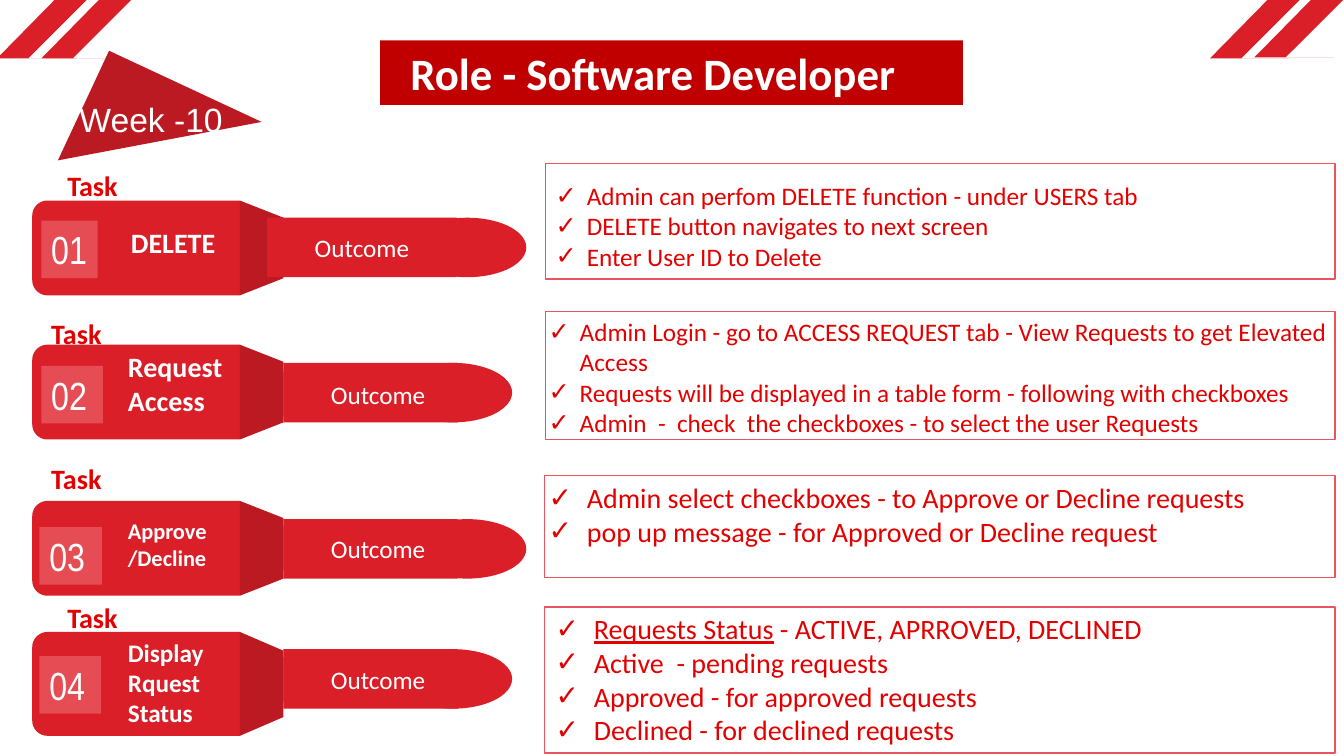
"""Build the weekly task and outcome slide for the software developer role."""
import math

from lxml import etree
from pptx import Presentation
from pptx.dml.color import RGBColor
from pptx.enum.shapes import MSO_SHAPE
from pptx.enum.text import MSO_ANCHOR, MSO_AUTO_SIZE, PP_ALIGN
from pptx.oxml.ns import qn
from pptx.util import Inches, Pt

RECTANGLE, OVAL, TRIANGLE = MSO_SHAPE.RECTANGLE, MSO_SHAPE.OVAL, MSO_SHAPE.RIGHT_TRIANGLE
TOP, MIDDLE = MSO_ANCHOR.TOP, MSO_ANCHOR.MIDDLE
LEFT, CENTER = PP_ALIGN.LEFT, PP_ALIGN.CENTER
NO_AUTOFIT = MSO_AUTO_SIZE.NONE
COMPARISON_LAYOUT = 4

COLOURS = {
    "red": "DA1F28",
    "dark red": "BC1A22",
    "light red": "E64C53",
    "banner": "C00000",
    "text red": "E30000",
    "outline": "E7555F",
    "white": "FFFFFF",
}

TASKS = [
    {"number": "01", "name": "DELETE", "name_at": (1.2, 2.19, 1.07, 0.44), "name_size": 20,
     "top": 1.99, "height": 0.94, "bar": (2.65, 2.16, 1.88, 0.59), "label_top": None,
     "tip_left": 4.05, "number_at": (0.41, 2.19, 0.56, 0.57), "heading_at": (0.57, 1.62)},
    {"number": "02", "name": "Request Access", "name_at": (1.17, 3.42, 1.28, 0.77), "name_size": 20,
     "top": 3.42, "height": 0.94, "bar": (2.81, 3.6, 1.73, 0.59), "label_top": 3.69,
     "tip_left": 3.91, "number_at": (0.41, 3.63, 0.61, 0.57), "heading_at": (0.41, 3.09)},
    {"number": "03", "name": "Approve/Decline", "name_at": (1.17, 5.08, 1.07, 0.64), "name_size": 16,
     "top": 4.97, "height": 0.94, "bar": (2.81, 5.15, 1.73, 0.59), "label_top": 5.22,
     "tip_left": 4.05, "number_at": (0.39, 5.23, 0.62, 0.57), "heading_at": (0.41, 4.53)},
    {"number": "04", "name": "Display Rquest Status", "name_at": (1.17, 6.27, 1.07, 1.01), "name_size": 18,
     "top": 6.27, "height": 1.03, "bar": (2.81, 6.44, 1.73, 0.59), "label_top": 6.52,
     "tip_left": 3.91, "number_at": (0.39, 6.51, 0.61, 0.57), "heading_at": (0.57, 5.91)},
]

OUTCOMES = [
    {"text_at": (5.41, 1.74, 7.54, 1.01), "frame_at": (5.41, 1.62, 7.83, 1.15), "size": 18, "indent": 0.31,
     "items": ["Admin can perfom DELETE function - under USERS tab",
               "DELETE button navigates to next screen",
               "Enter User ID to Delete"]},
    {"text_at": (5.34, 3.09, 7.99, 1.55), "frame_at": (5.41, 3.09, 7.83, 1.27), "size": 18, "indent": 0.31,
     "items": ["Admin Login - go to ACCESS REQUEST tab - View Requests to get Elevated Access",
               "Requests will be displayed in a table form - following with checkboxes",
               "Admin  -  check  the checkboxes - to select the user Requests"]},
    {"text_at": (5.34, 4.72, 7.51, 1.45), "frame_at": (5.4, 4.72, 7.84, 1.01), "size": 20, "indent": 0.38,
     "items": ["Admin select checkboxes - to Approve or Decline requests",
               "pop up message - for Approved or Decline request"]},
    {"text_at": (5.41, 6.02, 7.54, 1.45), "frame_at": (5.4, 6.02, 7.84, 1.45), "size": 20, "indent": 0.38,
     "underlined": "Requests Status",
     "items": ["Requests Status - ACTIVE, APRROVED, DECLINED",
               "Active  - pending requests",
               "Approved - for approved requests",
               "Declined - for declined requests"]},
]


class SlideBuilder:
    """Hold the slide and its style, and add each kind of element."""

    def __init__(self, deck):
        self.slide = deck.slides.add_slide(deck.slide_layouts[COMPARISON_LAYOUT])
        self.shapes = self.slide.shapes

    def colour(self, name):
        """Return the named colour."""
        return RGBColor.from_string(COLOURS[name])

    def place(self, box, at):
        """Move and resize a box."""
        box.left, box.top, box.width, box.height = (Inches(value) for value in at)

    def paint(self, shape, fill=None, line=None):
        """Set fill and outline, without a shadow."""
        shape.shadow.inherit = False
        if fill:
            shape.fill.solid()
            shape.fill.fore_color.rgb = self.colour(fill)
        else:
            shape.fill.background()
        if line:
            shape.line.color.rgb = self.colour(line)
            shape.line.width = Pt(1)
        else:
            shape.line.fill.background()
        return shape

    def style(self, para, size, colour="white", bold=False, font="Calibri", align=LEFT):
        """Format one paragraph."""
        para.alignment = align
        para.font.name = font
        para.font.size = Pt(size)
        para.font.bold = bold
        para.font.color.rgb = self.colour(colour)

    def caption(self, box, text, size, anchor=TOP, wrap=True, **style):
        """Put a single paragraph in a box."""
        frame = box.text_frame
        frame.auto_size = NO_AUTOFIT
        frame.word_wrap = wrap
        frame.vertical_anchor = anchor
        frame.text = text
        self.style(frame.paragraphs[0], size, **style)

    def shape(self, kind, at, fill=None, line=None):
        """Add a preset shape."""
        return self.paint(self.shapes.add_shape(kind, *(Inches(value) for value in at)), fill, line)

    def outline(self, points, fill):
        """Add a closed polygon."""
        corners = [(Inches(x), Inches(y)) for x, y in points]
        builder = self.shapes.build_freeform(*corners[0])
        builder.add_line_segments(corners[1:])
        return self.paint(builder.convert_to_shape(), fill)

    def text(self, at, text, size, **style):
        """Add a text box."""
        box = self.shapes.add_textbox(*(Inches(value) for value in at))
        self.caption(box, text, size, **style)

    def title(self, at, text):
        """Fill the title placeholder as a banner."""
        box = self.paint(self.shapes.title, "banner")
        self.place(box, at)
        self.caption(box, text, 32, anchor=MIDDLE, bold=True)
        box.text_frame.margin_left = Inches(0.3)

    def checklist(self, box, text_at, frame_at, size, indent, items, underlined=None):
        """Fill a body placeholder with ticked items and frame it."""
        self.place(box, text_at)
        frame = box.text_frame
        frame.auto_size = NO_AUTOFIT
        frame.vertical_anchor = TOP
        for index, item in enumerate(items):
            para = frame.add_paragraph() if index else frame.paragraphs[0]
            if underlined and item.startswith(underlined):
                span = para.add_run()
                span.text = underlined
                span.font.underline = True
                item = item[len(underlined):]
            para.add_run().text = item
            para.space_before = Pt(0)
            self.tick(para, indent)
            self.style(para, size, "text red")
        self.shape(RECTANGLE, frame_at, line="outline")

    def tick(self, para, indent):
        """Give a paragraph a hanging tick."""
        properties = para._p.get_or_add_pPr()
        properties.set("marL", str(Inches(indent)))
        properties.set("indent", str(-Inches(indent)))
        etree.SubElement(properties, qn("a:buFont"), typeface="Arial")
        etree.SubElement(properties, qn("a:buChar"), char="✓")

    def stripe(self, left, top):
        """Add a slanted corner stripe."""
        points = [(0.57, 0), (0.89, 0), (0.31, 0.58), (0.79, 0.58), (0, 0.58)]
        self.outline([(left + x, top + y) for x, y in points], "red")

    def flag(self):
        """Add the week flag."""
        pennant = self.shape(TRIANGLE, (0.75, 0.8, 1.67, 1.2), "dark red")
        pennant.rotation = 25
        pennant.element.spPr.find(qn("a:xfrm")).set("flipV", "1")
        self.text((0.69, 0.93, 1.87, 0.5), "Week -10", 24, font="Arial")

    def task(self, number, name, name_at, name_size, top, height, bar, label_top,
             tip_left, number_at, heading_at):
        """Add a task marker with its outcome arm."""
        left, right, neck, radius, slope = 0.32, 2.38, 2.81, 0.15, height * 0.18
        bottom = top + height
        body = [(right, top), (right, bottom)]
        for centre, start in ((bottom - radius, 90), (top + radius, 180)):
            for step in range(0, 91, 10):
                angle = math.radians(start + step)
                body.append((left + radius + radius * math.cos(angle), centre + radius * math.sin(angle)))
        self.outline(body, "red")
        self.outline([(right, top), (neck, top + slope), (neck, bottom - slope), (right, bottom)], "dark red")
        label = self.shape(RECTANGLE, bar, "red")
        self.shape(OVAL, (tip_left, bar[1], 1.17, 0.59), "red")
        if label_top:
            label = self.shape(RECTANGLE, (neck, label_top, 1.88, 0.44), "red")
        self.caption(label, "Outcome", 18, anchor=MIDDLE, align=CENTER)
        badge = self.shape(RECTANGLE, number_at, "light red")
        self.caption(badge, number, 28, wrap=False, font="Arial Narrow")
        self.text(name_at, name, name_size, bold=True)
        self.text((*heading_at, 1.07, 0.44), "Task", 20, colour="text red", bold=True)


def main():
    """Build and save the deck."""
    deck = Presentation()
    deck.slide_width, deck.slide_height = Inches(13.33), Inches(7.5)
    page = SlideBuilder(deck)
    for left, top in ((-0.03, 0), (0.41, 0), (12, 0), (12.44, -0.01)):
        page.stripe(left, top)
    page.title((3.77, 0.4, 5.78, 0.64), "Role - Software Developer")
    page.flag()
    for task in TASKS:
        page.task(**task)
    bodies = [box for box in page.slide.placeholders if box.placeholder_format.idx]
    for box, outcome in zip(bodies, OUTCOMES):
        page.checklist(box, **outcome)
    deck.save("out.pptx")


if __name__ == "__main__":
    main()
